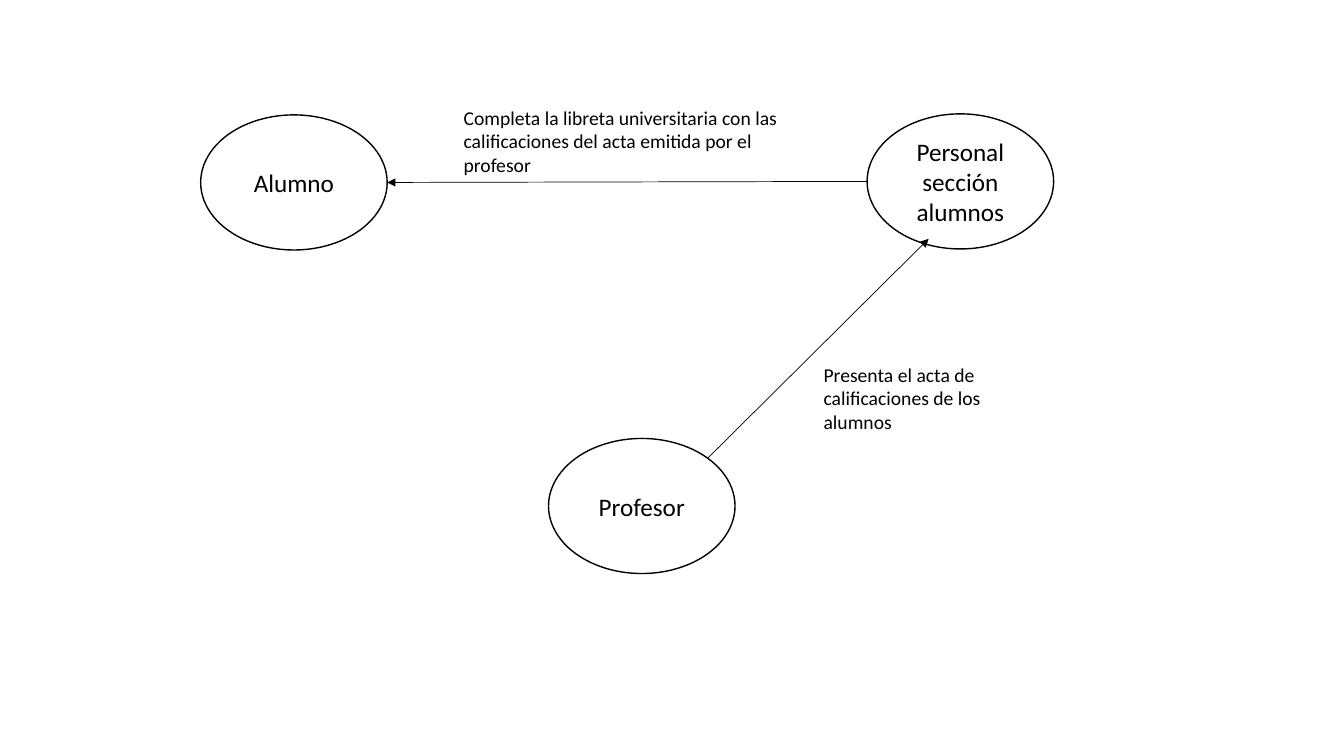
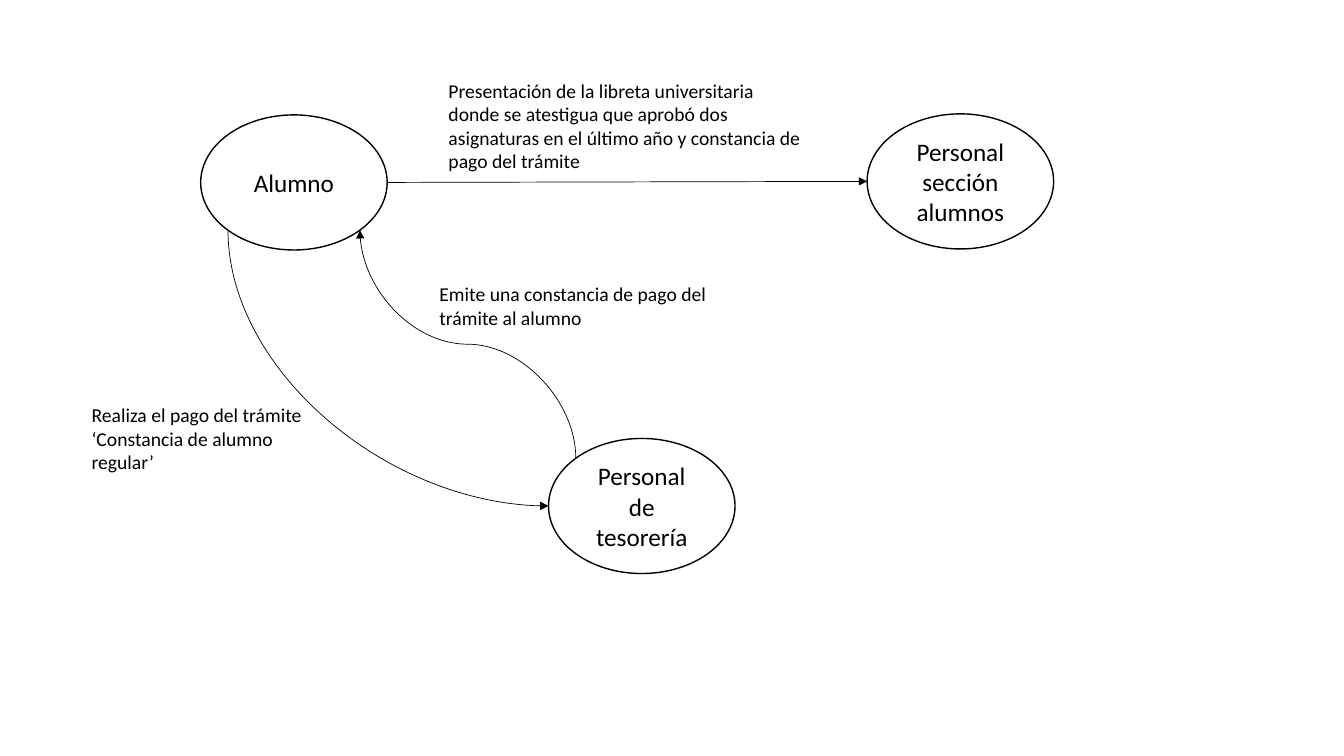
from math import cos, radians, sin

from lxml import etree
from pptx import Presentation
from pptx.dml.color import RGBColor
from pptx.enum.shapes import MSO_CONNECTOR, MSO_SHAPE
from pptx.enum.text import MSO_ANCHOR, MSO_AUTO_SIZE, PP_ALIGN
from pptx.oxml.ns import qn
from pptx.util import Inches, Pt

ELLIPSE = MSO_SHAPE.OVAL
STRAIGHT = MSO_CONNECTOR.STRAIGHT
CURVE = MSO_CONNECTOR.CURVE
CENTER = PP_ALIGN.CENTER
MIDDLE = MSO_ANCHOR.MIDDLE
FIT_TEXT = MSO_AUTO_SIZE.SHAPE_TO_FIT_TEXT

BLACK = RGBColor(0, 0, 0)
WHITE = RGBColor(255, 255, 255)
FONT = "Calibri"
ACTOR_WIDTH, ACTOR_HEIGHT = 1.85, 1.34
QUARTER_TURN_BACK = "16200000"
BLANK_LAYOUT = 6

TOP_LEFT, LEFT, BOTTOM_LEFT, BOTTOM_RIGHT, RIGHT, TOP_RIGHT = 1, 2, 3, 5, 6, 7


class Diagram:
    def __init__(self):
        self.deck = Presentation()
        self.deck.slide_width = Inches(13.33)
        self.deck.slide_height = Inches(7.5)
        self.page = None

    def add_page(self, lower_actor):
        layout = self.deck.slide_layouts[BLANK_LAYOUT]
        self.page = self.deck.slides.add_slide(layout)
        student = self.actor("Alumno", 1.99, 1.14)
        office = self.actor("Personal sección alumnos", 8.6, 1.13)
        lower = self.actor(lower_actor, 5.44, 4.35)
        return student, office, lower

    def set_text(self, frame, text, size):
        frame.word_wrap = True
        para = frame.paragraphs[0]
        para.text = text
        para.font.name = FONT
        para.font.size = Pt(size)
        para.font.color.rgb = BLACK
        return para

    def actor(self, name, left, top):
        oval = self.page.shapes.add_shape(
            ELLIPSE, Inches(left), Inches(top), Inches(ACTOR_WIDTH), Inches(ACTOR_HEIGHT))
        oval.shadow.inherit = False
        oval.fill.solid()
        oval.fill.fore_color.rgb = WHITE
        oval.line.color.rgb = BLACK
        oval.line.width = Pt(1)
        oval.text_frame.vertical_anchor = MIDDLE
        self.set_text(oval.text_frame, name, 18).alignment = CENTER
        return oval

    def label(self, text, left, top, width, height):
        box = self.page.shapes.add_textbox(
            Inches(left), Inches(top), Inches(width), Inches(height))
        self.set_text(box.text_frame, text, 14)
        box.text_frame.auto_size = FIT_TEXT

    def site_point(self, oval, site):
        angle = radians(90 + 45 * site)
        x = oval.left + oval.width / 2 * (1 + cos(angle))
        y = oval.top + oval.height / 2 * (1 - sin(angle))
        return round(x), round(y)

    def draw_arrow(self, kind, begin, end):
        arrow = self.page.shapes.add_connector(kind, *begin, *end)
        arrow.line.color.rgb = BLACK
        arrow.line.width = Pt(0.5)
        outline = arrow.element.xpath("./p:spPr/a:ln")[0]
        etree.SubElement(outline, qn("a:tailEnd")).set("type", "triangle")
        etree.SubElement(arrow.element.spPr, qn("a:effectLst"))
        return arrow

    def join(self, arrow, tag, oval, site):
        joints = arrow.element.xpath("./p:nvCxnSpPr/p:cNvCxnSpPr")[0]
        joint = etree.SubElement(joints, qn(tag))
        joint.set("id", str(oval.shape_id))
        joint.set("idx", str(site))

    def straight_arrow(self, source, source_site, target, target_site):
        arrow = self.draw_arrow(
            STRAIGHT, self.site_point(source, source_site), self.site_point(target, target_site))
        self.join(arrow, "a:stCxn", source, source_site)
        self.join(arrow, "a:endCxn", target, target_site)

    def arrow_to_point(self, source, source_site, x, y):
        arrow = self.draw_arrow(
            STRAIGHT, self.site_point(source, source_site), (Inches(x), Inches(y)))
        self.join(arrow, "a:stCxn", source, source_site)

    def curved_arrow(self, source, source_site, target, target_site, preset):
        begin = self.site_point(source, source_site)
        end = self.site_point(target, target_site)
        middle_x = (begin[0] + end[0]) / 2
        middle_y = (begin[1] + end[1]) / 2
        turned = [(round(middle_x + middle_y - y), round(middle_y + x - middle_x))
                  for x, y in (begin, end)]
        arrow = self.draw_arrow(CURVE, *turned)
        arrow.element.xpath("./p:spPr/a:xfrm")[0].set("rot", QUARTER_TURN_BACK)
        arrow.element.xpath("./p:spPr/a:prstGeom")[0].set("prst", preset)
        self.join(arrow, "a:stCxn", source, source_site)
        self.join(arrow, "a:endCxn", target, target_site)


def main():
    diagram = Diagram()

    student, office, teacher = diagram.add_page("Profesor")
    diagram.straight_arrow(office, LEFT, student, RIGHT)
    diagram.arrow_to_point(teacher, TOP_RIGHT, 9.21, 2.37)
    diagram.label("Completa la libreta universitaria con las calificaciones del acta "
                  "emitida por el profesor", 4.5, 1, 3.74, 0.81)
    diagram.label("Presenta el acta de calificaciones de los alumnos", 8.07, 3.55, 2.26, 0.81)

    student, office, treasury = diagram.add_page("Personal de tesorería")
    diagram.straight_arrow(student, RIGHT, office, LEFT)
    diagram.curved_arrow(treasury, TOP_LEFT, student, BOTTOM_RIGHT, "curvedConnector3")
    diagram.curved_arrow(student, BOTTOM_LEFT, treasury, LEFT, "curvedConnector2")
    diagram.label("Presentación de la libreta universitaria donde se atestigua que aprobó dos "
                  "asignaturas en el último año y constancia de pago del trámite",
                  4.35, 0.73, 3.74, 1.04)
    diagram.label("Emite una constancia de pago del trámite al alumno", 4.26, 2.75, 2.91, 0.57)
    diagram.label("Realiza el pago del trámite ‘Constancia de alumno regular’",
                  0.81, 3.95, 2.61, 0.81)

    diagram.deck.save("out.pptx")


if __name__ == "__main__":
    main()
